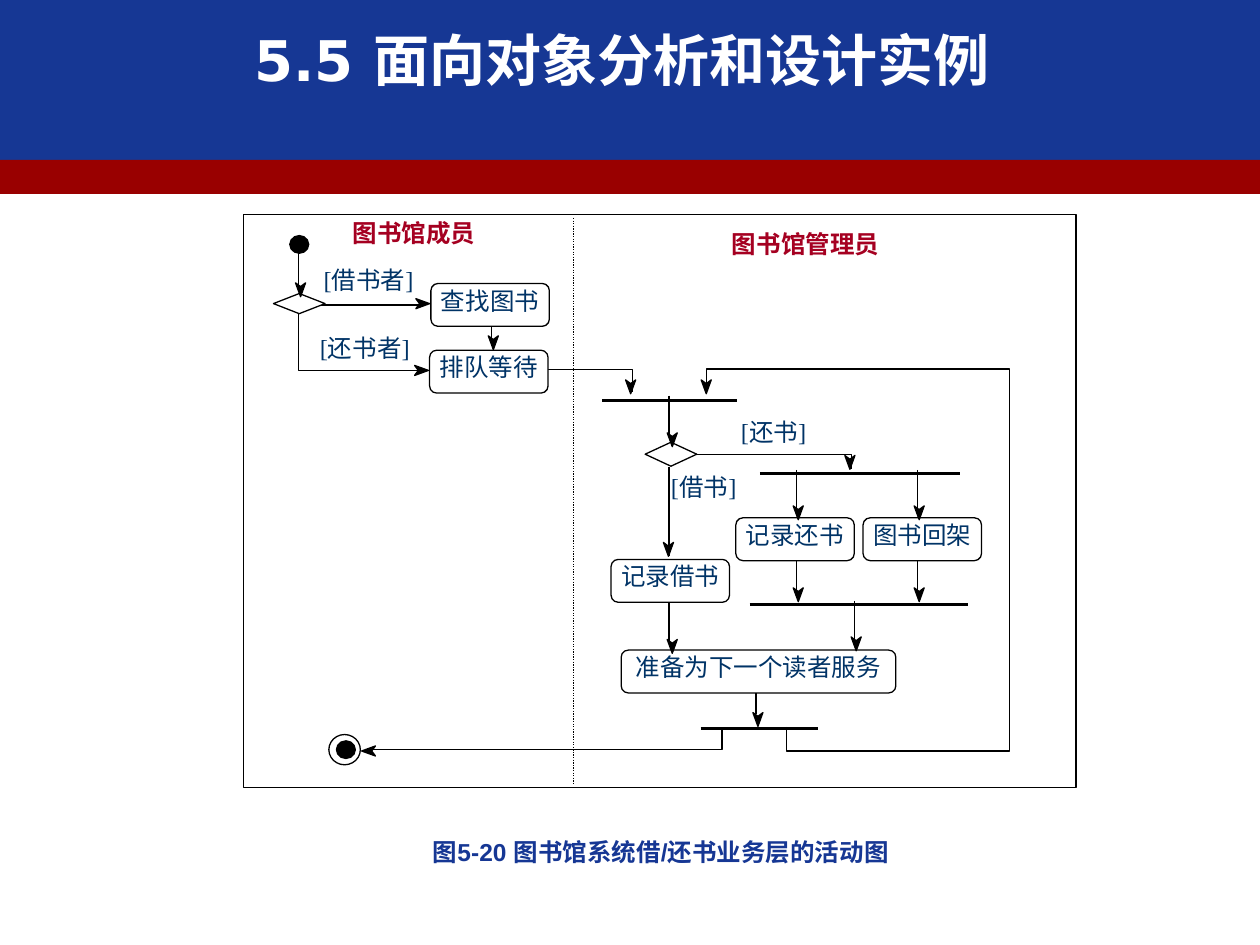
from lxml import etree
from pptx import Presentation
from pptx.dml.color import RGBColor
from pptx.enum.dml import MSO_LINE
from pptx.enum.shapes import MSO_CONNECTOR, MSO_SHAPE
from pptx.enum.text import MSO_ANCHOR, PP_ALIGN
from pptx.oxml.ns import qn
from pptx.util import Pt

EMU_PER_PX = 9144  # 100 px to the inch
RECT, ELLIPSE, DIAMOND = MSO_SHAPE.RECTANGLE, MSO_SHAPE.OVAL, MSO_SHAPE.DIAMOND
ACTIVITY = MSO_SHAPE.FLOWCHART_ALTERNATE_PROCESS
STRAIGHT, DOTTED = MSO_CONNECTOR.STRAIGHT, MSO_LINE.ROUND_DOT
CENTER, JUSTIFY = PP_ALIGN.CENTER, PP_ALIGN.JUSTIFY
TOP, MIDDLE = MSO_ANCHOR.TOP, MSO_ANCHOR.MIDDLE
COLORS = {
    "blue": "163794", "red": "990000", "white": "FFFFFF", "black": "000000",
    "lane": "A50021", "label": "003366",
}
THIN, THICK = 0.75, 1.5
DOWN, LEFT = 90, 180


def paint(shape, fill, line="black"):
    """Set fill and outline; None leaves either one out."""
    shape.shadow.inherit = False
    for part, color in ((shape.fill, fill), (shape.line.fill, line)):
        if color:
            part.solid()
            part.fore_color.rgb = RGBColor.from_string(COLORS[color])
        else:
            part.background()
    if line:
        shape.line.width = Pt(THIN)


def write(shape, text, color="label", align=CENTER, anchor=TOP, **font_format):
    frame = shape.text_frame
    frame_format = {
        "word_wrap": True, "vertical_anchor": anchor,
        "margin_left": EMU_PER_PX, "margin_right": EMU_PER_PX,
        "margin_top": 0, "margin_bottom": 0,
    }
    for name, value in frame_format.items():
        setattr(frame, name, value)
    paragraph = frame.paragraphs[0]
    paragraph.alignment = align
    run = paragraph.add_run()
    run.text = text
    run.font.color.rgb = RGBColor.from_string(COLORS[color])
    font_values = {"name": "Times New Roman", "size": Pt(14), "bold": False} | font_format
    for name, value in font_values.items():
        setattr(run.font, name, value)


prs = Presentation()
prs.slide_width, prs.slide_height = 1000 * EMU_PER_PX, 750 * EMU_PER_PX
slide = prs.slides.add_slide(prs.slide_layouts[6])
shapes = slide.shapes

# Header bands and the diagram frame
for box, fill, line in [
    ((0, 0, 1000, 129), "blue", None),
    ((0, 127, 1000, 27), "red", None),
    ((193, 170, 661, 455), "white", "black"),
]:
    paint(shapes.add_shape(RECT, *(v * EMU_PER_PX for v in box)), fill, line)

# Lane divider, straight flows and synchronisation bars
straight_lines = [(455, 173, 455, 623, THIN, DOTTED)]
for x, top, bottom in [
    (390, 238, 268), (237, 196, 226), (600, 537, 567), (632, 438, 469),
    (728, 438, 469), (632, 373, 404), (728, 373, 404), (531, 371, 441),
    (531, 314, 345), (531, 478, 509), (678, 477, 507),
]:
    straight_lines.append((x, top, x, bottom, THIN, None))
straight_lines.append((255, 242, 335, 242, THIN, None))
for left, right, y in [(478, 585, 318), (603, 762, 376), (595, 768, 480), (556, 649, 578)]:
    straight_lines.append((left, y, right, y, THICK, None))

for *ends, width, dash in straight_lines:
    connector = shapes.add_connector(STRAIGHT, *(v * EMU_PER_PX for v in ends))
    connector.line.color.rgb = RGBColor.from_string(COLORS["black"])
    connector.line.width = Pt(width)
    if dash:
        connector.line.dash_style = dash
    etree.SubElement(connector._element.spPr, qn("a:effectLst"))

# Flows with corners
for start, *corners in [
    [(237, 249), (237, 294), (339, 294)],
    [(435, 293), (502, 293), (502, 311)],
    [(552, 361), (676, 361), (676, 372)],
    [(624, 577), (624, 596), (801, 596), (801, 293), (561, 293), (561, 311)],
    [(573, 577), (573, 595), (290, 595)],
]:
    route = shapes.build_freeform(*start, scale=EMU_PER_PX)
    route.add_line_segments(corners, close=False)
    paint(route.convert_to_shape(), None)

# Start, decisions and end
for kind, box, fill in [
    (ELLIPSE, (230, 187, 15, 14), "black"),
    (DIAMOND, (217, 233, 41, 16), "white"),
    (DIAMOND, (512, 351, 41, 19), "white"),
    (ELLIPSE, (261, 583, 25, 24), "white"),
    (ELLIPSE, (267, 588, 15, 14), "black"),
]:
    paint(shapes.add_shape(kind, *(v * EMU_PER_PX for v in box)), fill)

for text, left, top, width in [
    ("查找图书", 342, 225, 94), ("排队等待", 341, 278, 94),
    ("记录还书", 584, 411, 94), ("图书回架", 685, 411, 94),
    ("记录借书", 485, 444, 94), ("准备为下一个读者服务", 493, 516, 218),
]:
    activity = shapes.add_shape(ACTIVITY, *(v * EMU_PER_PX for v in (left, top, width, 34)))
    paint(activity, "white")
    write(activity, text)

lane_format = {"color": "lane", "align": JUSTIFY, "bold": True}
title_format = {"color": "white", "anchor": MIDDLE, "name": "DejaVu Sans",
                "size": Pt(32), "bold": True}
caption_format = {"color": "blue", "name": "Arial", "bold": True}
for text, box, text_format in [
    ("5.5 面向对象分析和设计实例", (47, 18, 894, 58), title_format),
    ("图书馆成员", (279, 173, 108, 37), lane_format),
    ("图书馆管理员", (580, 182, 130, 37), lane_format),
    ("[借书者]", (248, 210, 89, 37), {}),
    ("[还书者]", (245, 264, 89, 37), {}),
    ("[还书]", (577, 331, 74, 37), {}),
    ("[借书]", (524, 375, 69, 37), {}),
    ("图5-20 图书馆系统借/还书业务层的活动图", (202, 664, 645, 37), caption_format),
]:
    write(shapes.add_textbox(*(v * EMU_PER_PX for v in box)), text, **text_format)

# Arrowheads: notched, drawn pointing right and then turned
for left, top, turn in [
    (386, 268, DOWN), (233, 226, DOWN), (596, 567, DOWN), (628, 468, DOWN),
    (724, 468, DOWN), (628, 403, DOWN), (724, 403, DOWN), (669, 363, DOWN),
    (525, 432, DOWN), (528, 345, DOWN), (528, 509, DOWN), (674, 507, DOWN),
    (555, 303, DOWN), (495, 303, DOWN), (287, 592, LEFT),
    (329, 290, 0), (330, 237, 0),
]:
    head = shapes.build_freeform(left + 3, top + 4, scale=EMU_PER_PX)
    head.add_line_segments([(left, top), (left + 11, top + 4), (left, top + 8)])
    arrowhead = head.convert_to_shape()
    arrowhead.rotation = turn
    paint(arrowhead, "black")

prs.save("out.pptx")
